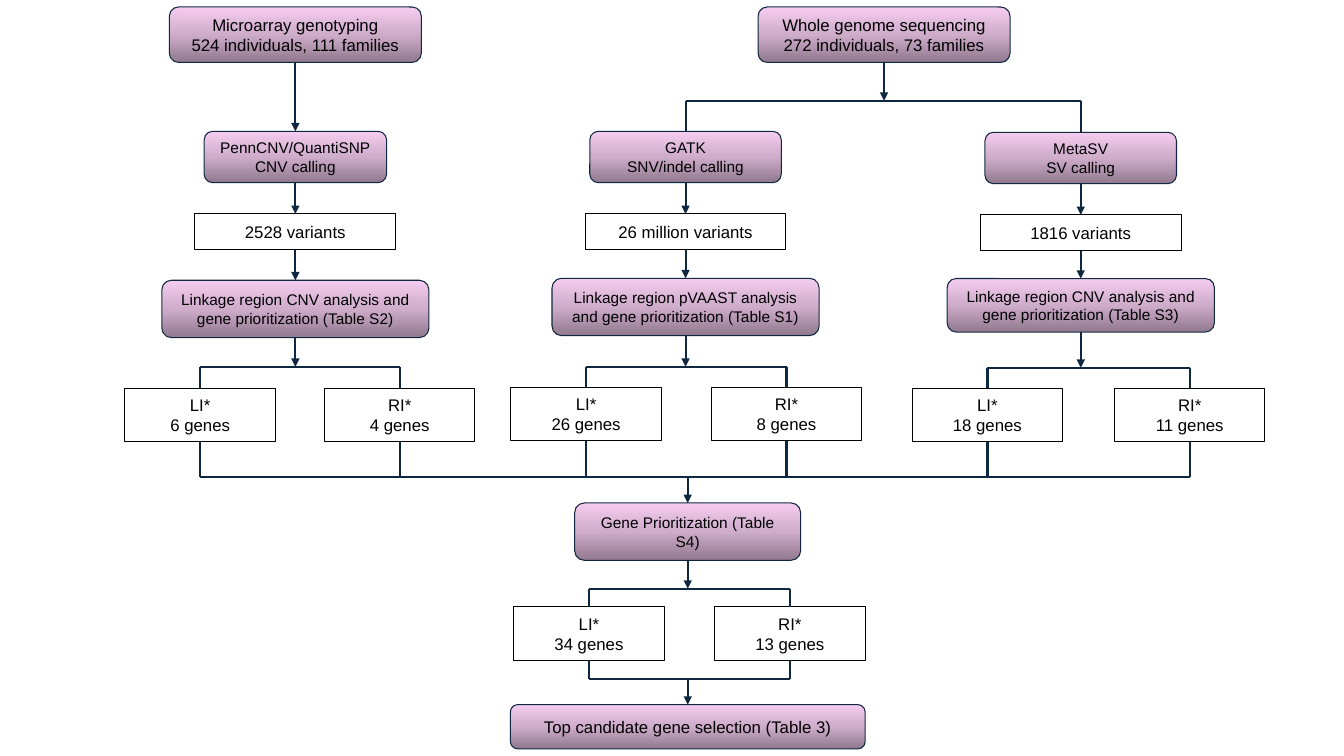
from copy import deepcopy

from lxml import etree
from pptx import Presentation
from pptx.dml.color import RGBColor
from pptx.enum.shapes import MSO_CONNECTOR, MSO_SHAPE
from pptx.enum.text import MSO_ANCHOR, PP_ALIGN
from pptx.oxml.ns import qn
from pptx.util import Pt

STRAIGHT = MSO_CONNECTOR.STRAIGHT
ROUNDED = MSO_SHAPE.ROUNDED_RECTANGLE
RECTANGLE = MSO_SHAPE.RECTANGLE
MIDDLE = MSO_ANCHOR.MIDDLE
CENTER = PP_ALIGN.CENTER
TOP, BOTTOM = 0, 2

FONT = "Arial"
BLACK = "000000"
NAVY = "0E2841"
PINK_STOPS = [(0, "91798E"), (0.5, "CEACCA"), (1, "F5CCF0")]

GENE_WIDTH, GENE_HEIGHT = 107.5, 38.2
VARIANT_WIDTH = 143.5


def color(value):
    return RGBColor.from_string(value)


def add_box(page, kind, place, lines, size, outline, inset):
    box = page.shapes.add_shape(kind, *[Pt(length) for length in place])
    box.shadow.inherit = False
    box.fill.background()
    box.line.color.rgb = color(outline)
    box.line.width = Pt(0.75)
    frame = box.text_frame
    frame.word_wrap = True
    frame.vertical_anchor = MIDDLE
    frame.margin_left = frame.margin_right = Pt(inset)
    frame.margin_top = frame.margin_bottom = Pt(inset)
    for index, line in enumerate(lines):
        para = frame.paragraphs[0] if index == 0 else frame.add_paragraph()
        para.alignment = CENTER
        span = para.add_run()
        span.text = line
        span.font.name = FONT
        span.font.size = Pt(size)
        span.font.color.rgb = color(BLACK)
    return box


def add_step(page, place, lines, size=11):
    box = add_box(page, ROUNDED, place, lines, size, NAVY, 9.4)
    box.fill.gradient()
    box.fill.gradient_angle = 90
    stop_list = box._element.spPr.find(qn("a:gradFill")).find(qn("a:gsLst"))
    stop_list.append(deepcopy(stop_list[0]))
    for stop, (position, shade) in zip(box.fill.gradient_stops, PINK_STOPS):
        stop.position = position
        stop.color.rgb = color(shade)
    return box


def add_count(page, place, lines):
    return add_box(page, RECTANGLE, place, lines, 12, BLACK, 3)


def middle(box):
    return box.left + box.width // 2


def link(page, upper, lower, arrow=False):
    start = upper if isinstance(upper, tuple) else (middle(upper), upper.top + upper.height)
    end = lower if isinstance(lower, tuple) else (middle(lower), lower.top)
    line = page.shapes.add_connector(STRAIGHT, *start, *end)
    if upper is not start:
        line.begin_connect(upper, BOTTOM)
    if lower is not end:
        line.end_connect(lower, TOP)
    line.line.color.rgb = color(NAVY)
    line.line.width = Pt(1.5)
    if arrow:
        etree.SubElement(line.line._get_or_add_ln(), qn("a:tailEnd"), type="triangle")
    etree.SubElement(line._element.spPr, qn("a:effectLst"))


def add_bar(page, boxes, height):
    centers = [middle(box) for box in boxes]
    link(page, (min(centers), height), (max(centers), height))


def split(page, source, boxes, height):
    bar = Pt(height)
    link(page, source, (middle(source), bar), arrow=True)
    add_bar(page, boxes, bar)
    for box in boxes:
        link(page, (middle(box), bar), box)


def merge(page, boxes, target, height):
    bar = Pt(height)
    add_bar(page, boxes, bar)
    for box in boxes:
        link(page, box, (middle(box), bar))
    link(page, (middle(target), bar), target, arrow=True)


def add_gene_pair(page, place, counts):
    left, top, width, height = place
    lefts = [left, left + width - GENE_WIDTH]
    return [
        add_count(page, (x, top, GENE_WIDTH, height), [label, f"{count} genes"])
        for x, label, count in zip(lefts, ["LI*", "RI*"], counts)
    ]


def add_pipeline(page, place, axis, caller, variants, analysis, counts):
    left, top, width, height = place
    caller_width, caller_lines = caller
    analysis_top, analysis_height, analysis_text = analysis
    calling = add_step(
        page, (axis - caller_width / 2, top, caller_width, 36.7), caller_lines)
    found = add_count(
        page, (axis - VARIANT_WIDTH / 2, top + 59, VARIANT_WIDTH, 25.8), [variants])
    linkage = add_step(
        page, (axis - 95.4, top + analysis_top, 190.8, analysis_height), [analysis_text])
    genes_top = top + height - GENE_HEIGHT
    genes = add_gene_pair(page, (left, genes_top, width, GENE_HEIGHT), counts)
    link(page, calling, found, arrow=True)
    link(page, found, linkage, arrow=True)
    split(page, linkage, genes, top + 168.2)
    return calling, genes


def add_sources(page, place):
    left, top, width, height = place
    box_width = 180
    microarray = add_step(
        page, (left, top, box_width, height),
        ["Microarray genotyping", "524 individuals, 111 families"], 12)
    sequencing = add_step(
        page, (left + width - box_width, top, box_width, height),
        ["Whole genome sequencing", "272 individuals, 73 families"], 12)
    return microarray, sequencing


def add_selection(page, place):
    left, top, width, height = place
    axis = left + width / 2
    prioritization = add_step(
        page, (axis - 80.7, top, 161.4, 41), ["Gene Prioritization (Table S4)"])
    genes = add_gene_pair(
        page, (left + 2.5, top + 74.2, width - 2.5, GENE_HEIGHT), [34, 13])
    final = add_step(
        page, (left, top + height - 31.7, width, 31.7),
        ["Top candidate gene selection (Table 3)"], 12)
    split(page, prioritization, genes, top + 61.2)
    merge(page, genes, final, top + 126)
    return prioritization


def add_flowchart(page):
    microarray, sequencing = add_sources(page, (121, 5, 600.5, 39.6))
    pipelines = [
        add_pipeline(
            page, (89.3, 93.8, 250, 221.6), 211,
            (130.3, ["PennCNV/QuantiSNP", "CNV calling"]), "2528 variants",
            (106.4, 41, "Linkage region CNV analysis and gene prioritization (Table S2)"),
            [6, 4]),
        add_pipeline(
            page, (365, 93.8, 250.6, 221), 489.7,
            (136.8, ["GATK", "SNV/indel calling"]), "26 million variants",
            (105, 41, "Linkage region pVAAST analysis and gene prioritization (Table S1)"),
            [26, 8]),
        add_pipeline(
            page, (651.6, 94.5, 252, 220.9), 772,
            (136.8, ["MetaSV", "SV calling"]), "1816 variants",
            (104.5, 38.2, "Linkage region CNV analysis and gene prioritization (Table S3)"),
            [18, 11]),
    ]
    callers = [calling for calling, genes in pipelines]
    all_genes = [box for calling, genes in pipelines for box in genes]
    link(page, microarray, callers[0], arrow=True)
    split(page, sequencing, callers[1:], 72)
    prioritization = add_selection(page, (364.5, 359.3, 253.5, 175.7))
    merge(page, all_genes, prioritization, 340.8)


def main():
    deck = Presentation()
    deck.slide_width = Pt(960)
    deck.slide_height = Pt(540)
    page = deck.slides.add_slide(deck.slide_layouts[6])
    add_flowchart(page)
    deck.save("out.pptx")


if __name__ == "__main__":
    main()
